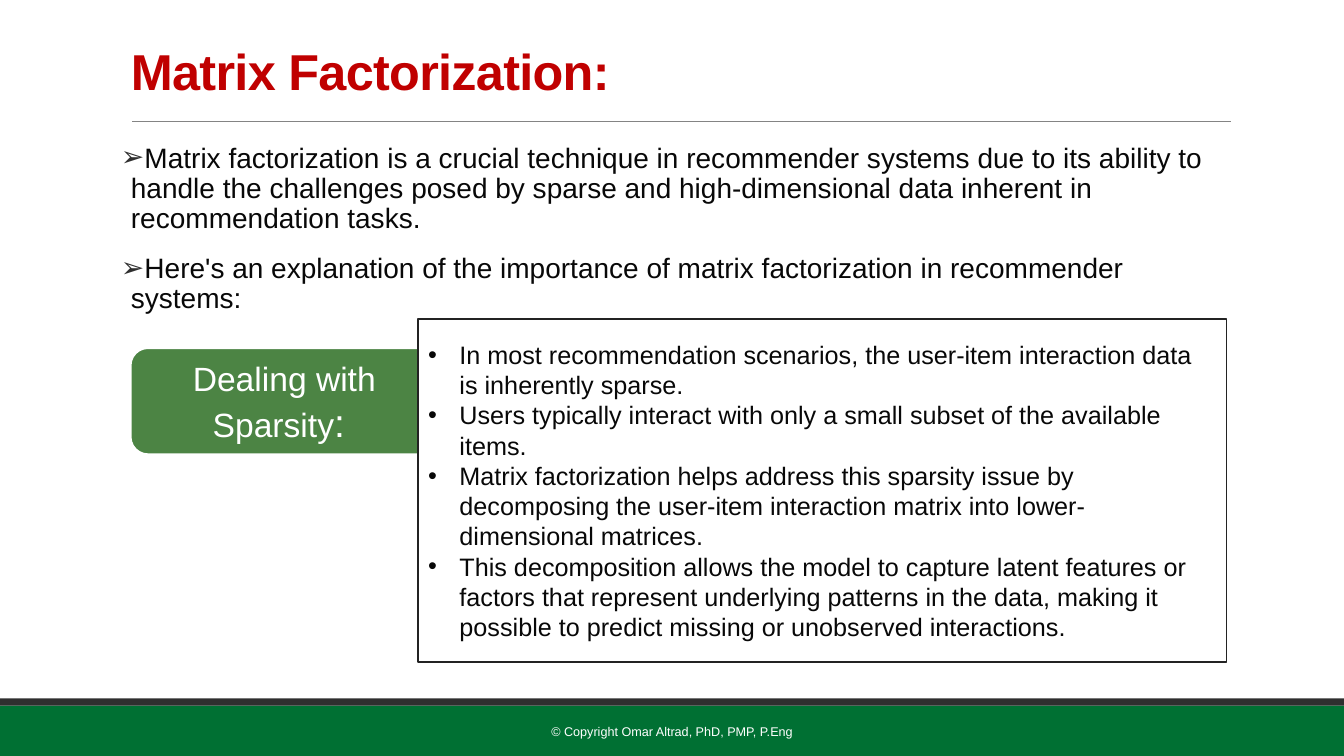
from lxml import etree
from pptx import Presentation
from pptx.dml.color import RGBColor
from pptx.enum import shapes as sh, text as tx
from pptx.oxml.ns import qn
from pptx.util import Cm, Pt

INK = "080808"
WHITE = "FFFFFF"
INTRO = [
    "Matrix factorization is a crucial technique in recommender systems due to "
    "its ability to handle the challenges posed by sparse and high-dimensional "
    "data inherent in recommendation tasks.",
    "Here's an explanation of the importance of matrix factorization in "
    "recommender systems:",
]
POINTS = [
    "In most recommendation scenarios, the user-item interaction data is "
    "inherently sparse.",
    "Users typically interact with only a small subset of the available items.",
    "Matrix factorization helps address this sparsity issue by decomposing the "
    "user-item interaction matrix into lower-dimensional matrices.",
    "This decomposition allows the model to capture latent features or factors "
    "that represent underlying patterns in the data, making it possible to "
    "predict missing or unobserved interactions.",
]


def color(code):
    return RGBColor.from_string(code)


def style(font, size, code, bold=False):
    font.name, font.size, font.bold = "Arial", Pt(size), bold
    font.color.rgb = color(code)


def add_box(slide, kind, place, fill, line=None, width=0):
    box = slide.shapes.add_shape(kind, *map(Cm, place))
    box.shadow.inherit = False
    box.fill.solid()
    box.fill.fore_color.rgb = color(fill)
    if line:
        box.line.color.rgb = color(line)
        box.line.width = Pt(width)
    else:
        box.line.fill.background()
    return box


def add_label(slide, place):
    label = slide.shapes.add_textbox(*map(Cm, place))
    label.text_frame.word_wrap = True
    return label


def write(shape, lines, size, code, align=tx.PP_ALIGN.LEFT,
          anchor=tx.MSO_ANCHOR.MIDDLE, bold=False):
    """Fill the shape with one paragraph per line and return the paragraphs."""
    frame = shape.text_frame
    frame.vertical_anchor = anchor
    frame.text = "\n".join(lines)
    for para in frame.paragraphs:
        para.alignment = align
        style(para.font, size, code, bold)
    return frame.paragraphs


def add_bullet(para, mark, indent, code):
    props = para._p.get_or_add_pPr()
    props.set("marL", str(Cm(indent)))
    props.set("indent", str(-Cm(indent)))
    tint = etree.Element(qn("a:buClr"))
    etree.SubElement(tint, qn("a:srgbClr"), val=code)
    font = etree.Element(qn("a:buFont"), typeface="Arial")
    char = etree.Element(qn("a:buChar"), char=mark)
    rest = props.find(qn("a:defRPr"))
    for item in (tint, font, char):
        rest.addprevious(item)


def add_rule(slide, left, right, top):
    rule = slide.shapes.add_connector(
        sh.MSO_CONNECTOR.STRAIGHT, Cm(left), Cm(top), Cm(right), Cm(top))
    rule.line.color.rgb = color("848484")
    rule.line.width = Pt(0.5)
    etree.SubElement(rule._element.spPr, qn("a:effectLst"))


def add_title(slide):
    label = add_label(slide, (3.05, 0.79, 27.94, 2.18))
    para = write(label, ["Matrix Factorization:"], 36, "C00000", bold=True)[0]
    para.line_spacing = 0.85
    para.runs[0].font._element.set("spc", "-50")


def add_intro(slide):
    label = add_label(slide, (3.05, 3.5, 27.94, 12.65))
    frame = label.text_frame
    frame.margin_left = frame.margin_right = 0
    for para in write(label, INTRO, 20, INK, anchor=tx.MSO_ANCHOR.TOP):
        para.line_spacing = 0.9
        para.space_before, para.space_after = Pt(12), Pt(2)
        add_bullet(para, "➢", 0.25, "2F2F2F")


def add_topic(slide):
    kinds = sh.MSO_SHAPE
    topic = add_box(slide, kinds.ROUNDED_RECTANGLE, (3.28, 8.76, 7.77, 2.7),
                    "4C8444", WHITE, 2)
    para = write(topic, ["Dealing with Sparsity"], 24, WHITE,
                 tx.PP_ALIGN.CENTER)[0]
    colon = para.add_run()
    colon.text = ": "
    colon.font.size = Pt(28)

    panel = add_box(slide, kinds.RECTANGLE, (10.54, 8.03, 20.37, 8.66),
                    WHITE, "232323", 1.25)
    for para in write(panel, POINTS, 18, INK):
        add_bullet(para, "•", 0.79, INK)


def add_footer(slide, wide):
    bar = sh.MSO_SHAPE.RECTANGLE
    add_box(slide, bar, (0, 17.78, wide, 1.27), "007033")
    add_box(slide, bar, (0, 17.6, wide, 0.18), "2F2F2F")
    label = add_label(slide, (10.24, 17.93, 13.39, 1.02))
    write(label, ["© Copyright Omar Altrad, PhD, PMP, P.Eng"], 9, WHITE,
          tx.PP_ALIGN.CENTER)


def main():
    deck = Presentation()
    wide = 33.87
    deck.slide_width, deck.slide_height = Cm(wide), Cm(19.05)
    slide = deck.slides.add_slide(deck.slide_layouts[6])
    add_footer(slide, wide)
    add_rule(slide, 3.33, 31.01, 3.05)
    add_title(slide)
    add_intro(slide)
    add_topic(slide)
    deck.save("out.pptx")


if __name__ == "__main__":
    main()
